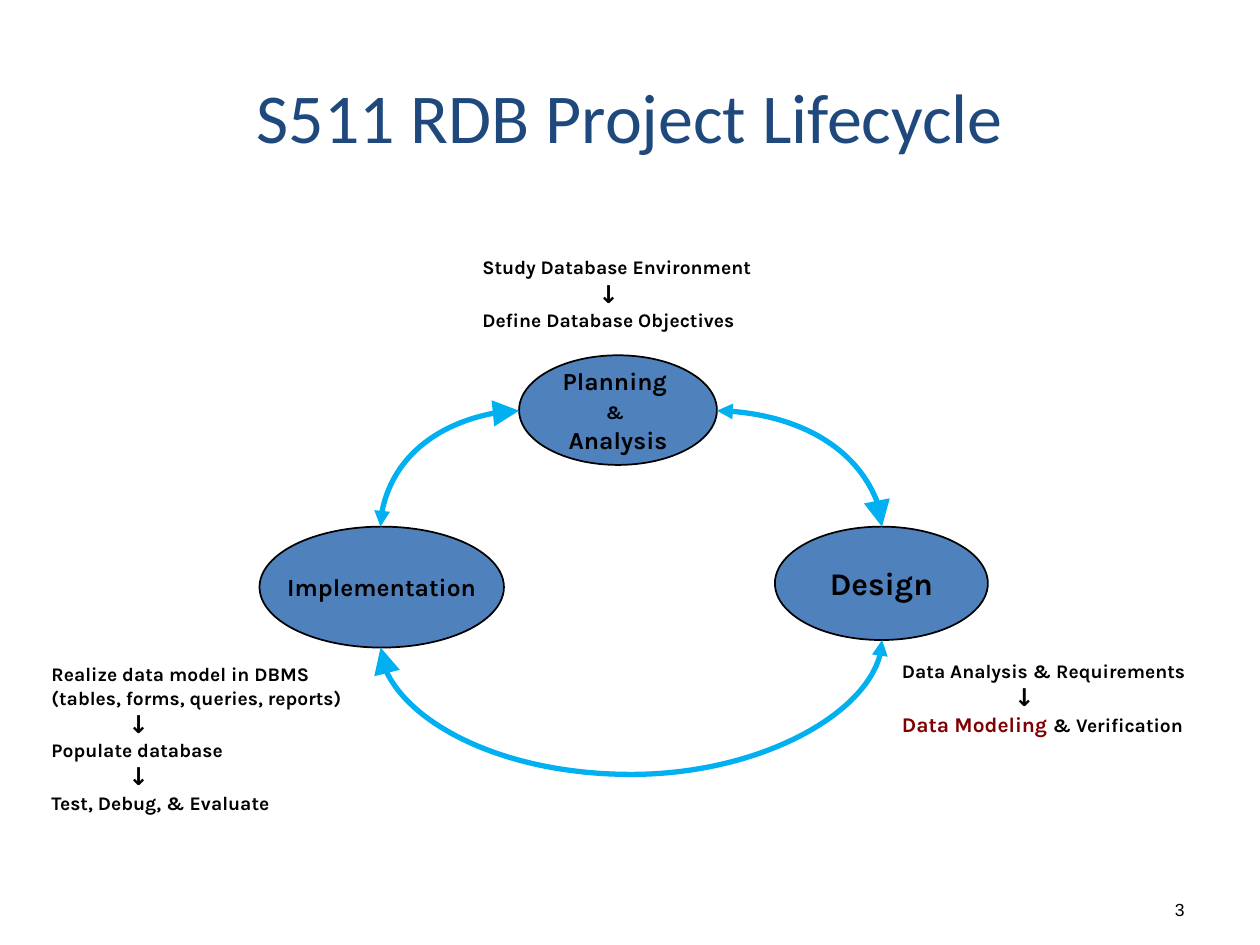
from dataclasses import dataclass

from lxml.etree import SubElement
from pptx import Presentation
from pptx.dml.color import RGBColor
from pptx.enum.shapes import MSO_CONNECTOR, MSO_SHAPE
from pptx.enum.text import MSO_ANCHOR, PP_ALIGN
from pptx.oxml.ns import qn
from pptx.util import Inches, Pt


@dataclass(frozen=True)
class Theme:
    """Fonts, colours and type sizes of the slide."""

    title_font: str = "Calibri"
    body_font: str = "Karla"
    number_font: str = "Arial"
    ink: str = "000000"
    title_blue: str = "1F497D"
    phase_blue: str = "4F81BD"
    cycle_blue: str = "00B0F0"
    accent: str = "800000"
    title: int = 40
    heading: int = 18
    label: int = 14
    emphasis: int = 12
    note: int = 11
    number: int = 10


class LifecycleSlide:
    """Draws on one slide over a grid of 100 columns and 75 rows."""

    def __init__(self, deck, theme):
        """Add a blank slide to the deck."""
        self.theme = theme
        self.slide = deck.slides.add_slide(deck.slide_layouts[6])
        self.column = deck.slide_width / 100
        self.row = deck.slide_height / 75

    def place(self, left, top, width, height):
        """Turn grid units into slide lengths."""
        scales = (self.column, self.row) * 2
        return [round(n * scale) for n, scale in zip((left, top, width, height), scales)]

    def fill_lines(self, frame, lines, align, font=None, bold=True):
        """Fill a frame with lines of (text, size, colour) runs."""
        for index, runs in enumerate(lines):
            paragraph = frame.paragraphs[0] if index == 0 else frame.add_paragraph()
            paragraph.alignment = align
            for words, size, color in runs:
                run = paragraph.add_run()
                run.text = words
                run.font.name = font or self.theme.body_font
                run.font.size = Pt(size)
                run.font.bold = bold
                run.font.color.rgb = RGBColor.from_string(color)

    def text(self, box, lines, align=PP_ALIGN.LEFT, anchor=MSO_ANCHOR.TOP, **style):
        """Add a wrapping text box and return its frame."""
        frame = self.slide.shapes.add_textbox(*self.place(*box)).text_frame
        frame.word_wrap = True
        frame.vertical_anchor = anchor
        self.fill_lines(frame, lines, align, **style)
        return frame

    def steps(self, box, stages, indent):
        """Add stages of work parted by indented down arrows."""
        arrow = [("↓", self.theme.label, self.theme.ink)]
        lines = list(stages[0])
        for stage in stages[1:]:
            lines += [arrow, *stage]
        for paragraph in self.text(box, lines).paragraphs:
            if paragraph.text == "↓":
                paragraph._p.get_or_add_pPr().set("marL", str(round(indent * self.column)))

    def phase(self, box, lines, inset=None):
        """Add an ellipse for one phase of the cycle."""
        ellipse = self.slide.shapes.add_shape(MSO_SHAPE.OVAL, *self.place(*box))
        ellipse.shadow.inherit = False
        ellipse.fill.solid()
        ellipse.fill.fore_color.rgb = RGBColor.from_string(self.theme.phase_blue)
        ellipse.line.color.rgb = RGBColor.from_string(self.theme.ink)
        ellipse.line.width = Pt(1)
        frame = ellipse.text_frame
        frame.word_wrap = False
        frame.vertical_anchor = MSO_ANCHOR.MIDDLE
        if inset is not None:
            frame.margin_left = frame.margin_right = inset
            frame.margin_top = frame.margin_bottom = inset
        self.fill_lines(frame, lines, PP_ALIGN.CENTER)

    def cycle(self, start, end, large_end, upright=False, dip=None):
        """Add a two-headed curve, upright if it leaves vertically, down to row dip."""
        (x1, y1), (x2, y2) = start, end
        width, height = abs(x2 - x1), abs(y2 - y1)
        if upright:
            width, height = height, width
        left, top = (x1 + x2 - width) / 2, (y1 + y2 - height) / 2
        corners = self.place(left, top, left + width, top + height)
        curve = self.slide.shapes.add_connector(MSO_CONNECTOR.CURVE, *corners)
        curve.line.color.rgb = RGBColor.from_string(self.theme.cycle_blue)
        curve.line.width = Pt(3)
        properties = curve._element.spPr
        if upright:
            frame = properties.find(qn("a:xfrm"))
            for key, value in (("rot", "5400000"), ("flipH", "1"), ("flipV", "1")):
                frame.set(key, value)
        geometry = properties.find(qn("a:prstGeom"))
        if dip is None:
            geometry.set("prst", "curvedConnector2")
        else:
            bend = round((y1 - dip) / width * 100000)
            guides = geometry.find(qn("a:avLst"))
            SubElement(guides, qn("a:gd"), name="adj1", fmla=f"val {bend}")
        for tip in ("headEnd", "tailEnd"):
            size = "lg" if tip == large_end else "med"
            SubElement(properties.find(qn("a:ln")), qn(f"a:{tip}"), type="triangle", w=size, len=size)
        SubElement(properties, qn("a:effectLst"))


def main():
    """Build the project lifecycle slide."""
    deck = Presentation()
    deck.slide_width, deck.slide_height = Inches(10), Inches(7.5)
    theme = Theme()
    slide = LifecycleSlide(deck, theme)

    def note(words):
        return [(words, theme.note, theme.ink)]

    def label(words):
        return [(words, theme.label, theme.ink)]

    slide.text((90.8, 70.8, 4.2, 2.7), [[("3", theme.number, theme.ink)]], PP_ALIGN.RIGHT,
               MSO_ANCHOR.BOTTOM, font=theme.number_font, bold=False)
    slide.text((5, 4.2, 90, 10), [[("S511 RDB Project Lifecycle", theme.title, theme.title_blue)]],
               PP_ALIGN.CENTER, MSO_ANCHOR.MIDDLE, font=theme.title_font, bold=False)

    slide.phase((41.2, 28.2, 15.7, 8.7),
                [label("Planning "), note("&") + label(" "), label("Analysis")])
    slide.phase((61.5, 41.8, 16.9, 9), [[("Design", theme.heading, theme.ink)]])
    slide.phase((20.6, 41.8, 19.4, 9.6), [label("Implementation")], inset=0)

    slide.steps((37.3, 19.8, 27.3, 7.1),
                [[note("Study Database Environment")], [note("Define Database Objectives")]], 9.2)
    modeling = [("Data Modeling ", theme.emphasis, theme.accent)] + note("& Verification")
    slide.steps((70.6, 51.8, 26.2, 7.2), [[note("Data Analysis & Requirements")], [modeling]], 8.9)
    slide.steps((3.1, 52.1, 29.1, 13.1),
                [[note("Realize data model in DBMS"), note("(tables, forms, queries, reports)")],
                 [note("Populate database")], [note("Test, Debug, & Evaluate")]], 6.1)

    slide.cycle((56.9, 32.6), (70, 41.8), "tailEnd")
    slide.cycle((30.2, 41.8), (41.2, 32.6), "tailEnd", upright=True)
    slide.cycle((30.2, 51.4), (70, 50.8), "headEnd", upright=True, dip=61.5)

    deck.save("out.pptx")


if __name__ == "__main__":
    main()
